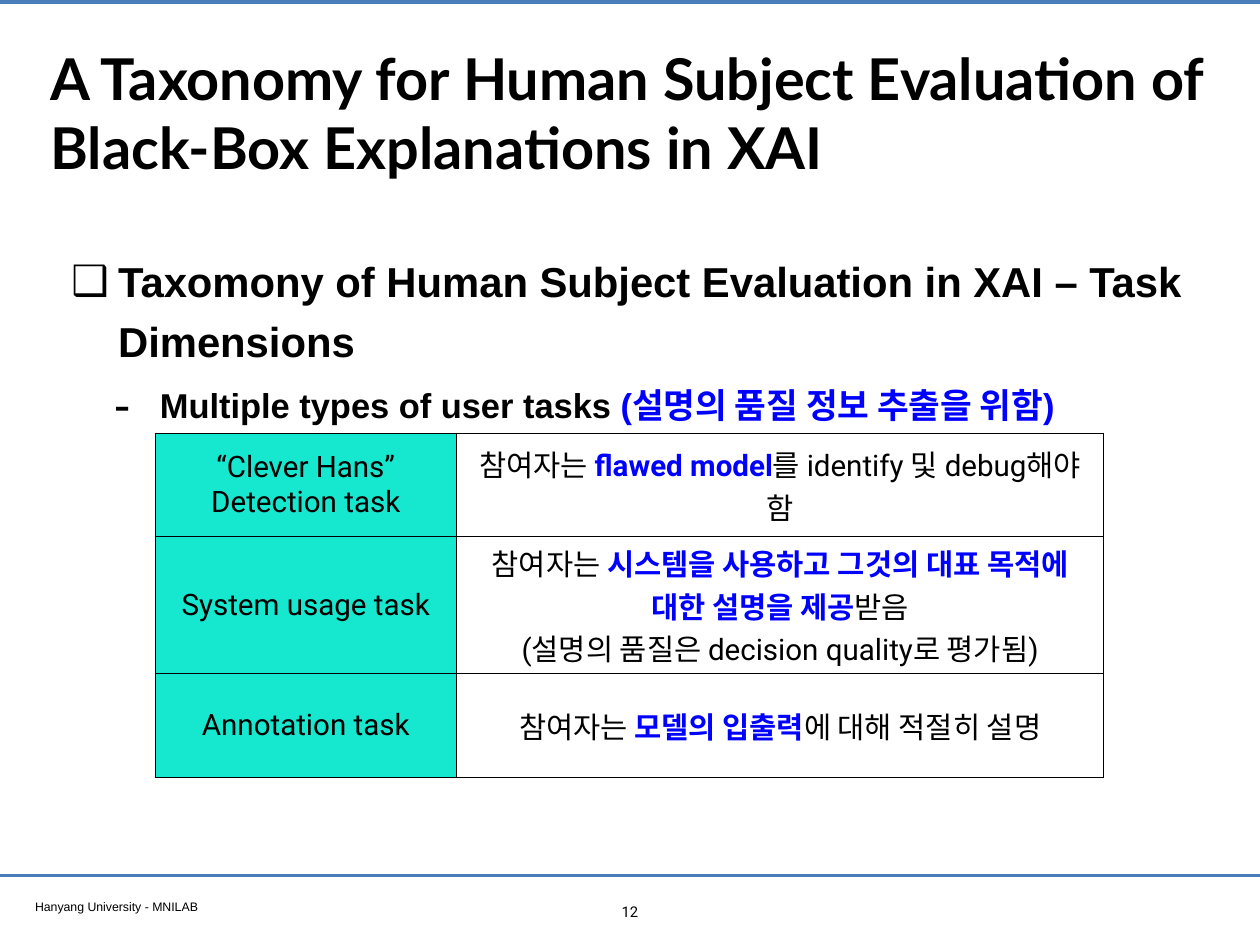
import dataclasses
import typing

import lxml.etree
import pptx
import pptx.dml.color
import pptx.enum.shapes
import pptx.enum.text
import pptx.oxml.ns
import pptx.util

Pt = pptx.util.Pt
Align = pptx.enum.text.PP_ALIGN
Anchor = pptx.enum.text.MSO_ANCHOR

BLACK, BLUE, TEAL, WHITE, RULE = "000000", "0000FF", "16E7CF", "FFFFFF", "4A7EBB"
WIDTH, HEIGHT = 1024, 768


@dataclasses.dataclass
class Run:
    text: str
    color: str = BLACK
    bold: bool = False


@dataclasses.dataclass
class Item:
    runs: list[Run]
    size: float
    level: int
    left: float
    hang: float
    mark: str
    scale: int


@dataclasses.dataclass
class Task:
    name: list[list[Run]]
    detail: list[list[Run]]


@dataclasses.dataclass
class Label:
    text: str
    box: tuple[float, float, float, float]
    size: float
    face: str
    align: Align


RULES = [(1.5, 3.2), (711.5, 2)]
LABELS = [
    Label("Hanyang University - MNILAB", (24, 726.5, 393, 19), 10, "Arial", Align.LEFT),
    Label("12", (498, 729, 28, 22), 12, "Roboto", Align.CENTER),
]
ITEMS = [
    Item([Run("Taxomony of Human Subject Evaluation in XAI – Task Dimensions", bold=True)],
         34, 0, 38, 38, "❑", 100),
    Item([Run("Multiple types of user tasks ", bold=True),
          Run("(설명의 품질 정보 추출을 위함)", BLUE, True)],
         28, 1, 72, 37.5, "-", 145),
]
TASKS = [
    Task([[Run("“Clever Hans”")], [Run("Detection task")]],
         [[Run("참여자는 "), Run("flawed model", BLUE, True),
           Run("를 identify 및 debug해야 함")]]),
    Task([[Run("System usage task")]],
         [[Run("참여자는 "),
           Run("시스템을 사용하고 그것의 대표 목적에 대한 설명을 제공", BLUE, True),
           Run("받음")],
          [Run("(설명의 품질은 decision quality로 평가됨)")]]),
    Task([[Run("Annotation task")]],
         [[Run("참여자는 "), Run("모델의 입출력", BLUE, True),
           Run("에 대해 적절히 설명")]]),
]


def tint(target: typing.Any, color: str) -> None:
    """Set a solid colour on a fill or line fill."""
    target.solid()
    target.fore_color.rgb = pptx.dml.color.RGBColor.from_string(color)


def add_node(parent: typing.Any, tag: str, **attrs: str) -> typing.Any:
    return lxml.etree.SubElement(parent, pptx.oxml.ns.qn(tag), attrs)


def add_runs(para: typing.Any, runs: list[Run], size: float, face: str) -> None:
    for part in runs:
        run = para.add_run()
        run.text = part.text
        run.font.size = Pt(size)
        run.font.name = face
        run.font.bold = part.bold
        tint(run.font.fill, part.color)


def add_paras(frame: typing.Any, count: int) -> list[typing.Any]:
    return [frame.paragraphs[0]] + [frame.add_paragraph() for _ in range(count - 1)]


def set_frame(shape: typing.Any, anchor: Anchor) -> typing.Any:
    frame = shape.text_frame
    frame.word_wrap = True
    frame.auto_size = pptx.enum.text.MSO_AUTO_SIZE.NONE
    frame.vertical_anchor = anchor
    frame.margin_left = frame.margin_right = Pt(4.5)
    frame.margin_top = frame.margin_bottom = Pt(4.5)
    return frame


def place(shape: typing.Any, *box: float) -> None:
    shape.left, shape.top, shape.width, shape.height = map(Pt, box)


def draw_rule(slide: typing.Any, top: float, weight: float) -> None:
    kind = pptx.enum.shapes.MSO_CONNECTOR.STRAIGHT
    line = slide.shapes.add_connector(kind, Pt(0), Pt(top), Pt(WIDTH), Pt(top))
    line.line.width = Pt(weight)
    tint(line.line.fill, RULE)
    add_node(line.element.spPr, "a:effectLst")


def draw_label(slide: typing.Any, label: Label) -> None:
    box = slide.shapes.add_textbox(*map(Pt, label.box))
    para = set_frame(box, Anchor.TOP).paragraphs[0]
    para.alignment = label.align
    add_runs(para, [Run(label.text)], label.size, label.face)


def draw_title(slide: typing.Any) -> None:
    title = slide.shapes.title
    place(title, 36.5, 20, 951, 142)
    para = set_frame(title, Anchor.MIDDLE).paragraphs[0]
    para.alignment = Align.LEFT
    text = "A Taxonomy for Human Subject Evaluation of Black-Box Explanations in XAI"
    add_runs(para, [Run(text, bold=True)], 46.8, "Lato")


def draw_list(slide: typing.Any) -> None:
    body = slide.placeholders[1]
    place(body, 53.5, 195, 961, 160.5)
    paras = add_paras(set_frame(body, Anchor.TOP), len(ITEMS))
    for para, item in zip(paras, ITEMS):
        para.level = item.level
        para.line_spacing = 1.2
        para.space_before = Pt(8 if item.level else 0)
        props = para._p.get_or_add_pPr()
        props.set("marL", str(Pt(item.left)))
        props.set("indent", str(-Pt(item.hang)))
        add_node(props, "a:buSzPct", val=str(item.scale * 1000))
        add_node(props, "a:buFont", typeface="Arial")
        add_node(props, "a:buChar", char=item.mark)
        add_runs(para, item.runs, item.size, "Arial")


def fill_cell(cell: typing.Any, lines: list[list[Run]], color: str) -> None:
    cell.vertical_anchor = Anchor.MIDDLE
    for para, runs in zip(add_paras(cell.text_frame, len(lines)), lines):
        para.alignment = Align.CENTER
        add_runs(para, runs, 24, "Roboto")
    props = cell._tc.get_or_add_tcPr()
    for side in "LRTB":
        edge = add_node(props, f"a:ln{side}", w=str(Pt(1)))
        add_node(add_node(edge, "a:solidFill"), "a:srgbClr", val=BLACK)
    tint(cell.fill, color)


def draw_table(slide: typing.Any) -> None:
    high = 84
    frame = slide.shapes.add_table(len(TASKS), 2, Pt(126), Pt(352), Pt(771), Pt(high * len(TASKS)))
    table = frame.table
    table.first_row = table.horz_banding = False
    for col, width in zip(table.columns, (245, 526)):
        col.width = Pt(width)
    for index, task in enumerate(TASKS):
        table.rows[index].height = Pt(high)
        fill_cell(table.cell(index, 0), task.name, TEAL)
        fill_cell(table.cell(index, 1), task.detail, WHITE)


def main() -> None:
    deck = pptx.Presentation()
    deck.slide_width, deck.slide_height = Pt(WIDTH), Pt(HEIGHT)
    slide = deck.slides.add_slide(deck.slide_layouts[1])
    tint(slide.background.fill, WHITE)
    for top, weight in RULES:
        draw_rule(slide, top, weight)
    draw_title(slide)
    draw_list(slide)
    for label in LABELS:
        draw_label(slide, label)
    draw_table(slide)
    deck.save("out.pptx")


if __name__ == "__main__":
    main()
